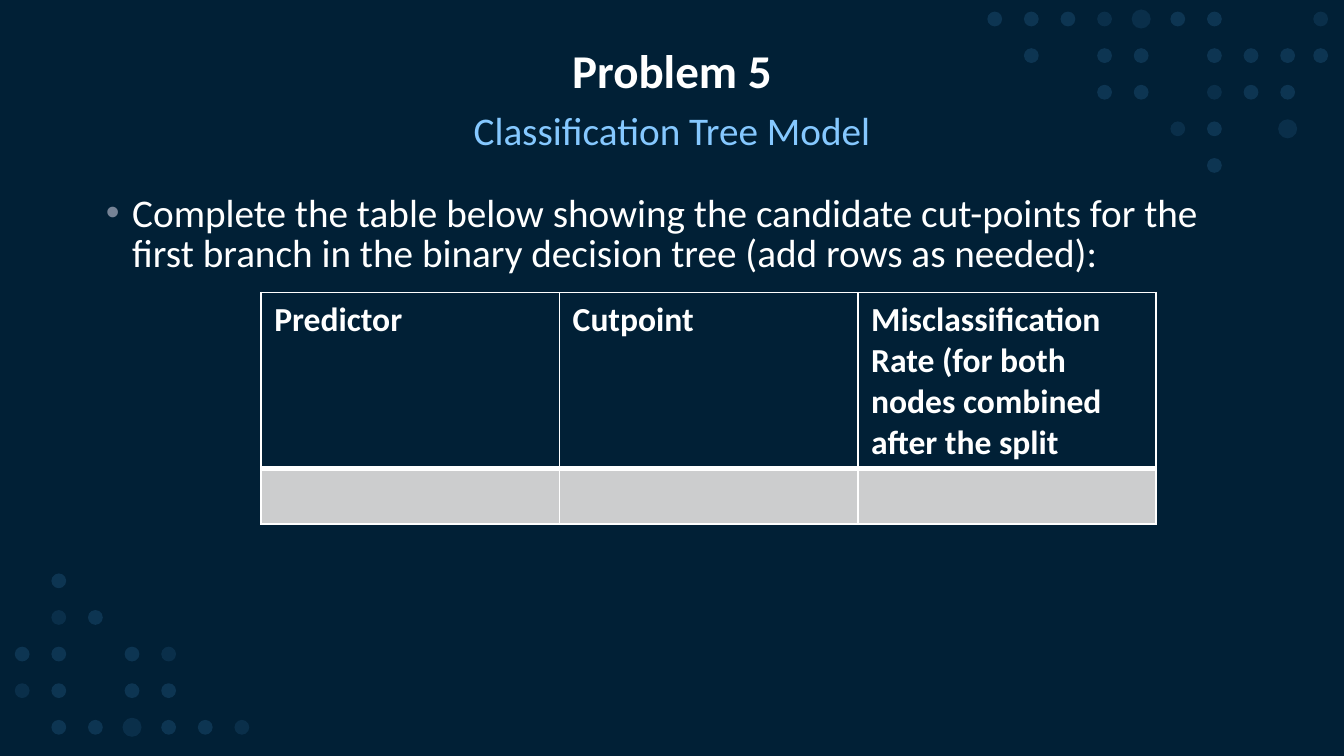
from dataclasses import dataclass

from pptx import Presentation
from pptx.dml.color import RGBColor
from pptx.enum import shapes, text
from pptx.oxml import parse_xml
from pptx.oxml.ns import nsdecls
from pptx.util import Cm, Pt

NAVY = RGBColor(0x01, 0x20, 0x36)
WHITE = RGBColor(0xFF, 0xFF, 0xFF)
SKY = RGBColor(0x85, 0xC8, 0xFF)
DOT_BLUE = RGBColor(0x5C, 0xB5, 0xFF)
BULLET_GREY = RGBColor(0x76, 0x83, 0x96)
ROW_GREY = RGBColor(0xCC, 0xCD, 0xCE)
FONT = "Calibri"
PITCH = 0.692


@dataclass
class DotGrid:
    """Rows of dots; left and top are the centre of the first dot, in cm."""
    left: float
    top: float
    rows: tuple[str, ...]


@dataclass
class Dot:
    diameter: float
    opacity: int


@dataclass
class TextBlock:
    words: str
    top: float
    height: float
    size: float
    color: RGBColor
    line_spacing: float = 0.85
    space_before: float = 8
    bold: bool = False
    centred: bool = True
    anchor: text.MSO_ANCHOR = text.MSO_ANCHOR.TOP


DOTS = {"o": Dot(0.28, 14), ".": Dot(0.28, 10), "O": Dot(0.36, 10)}
GRIDS = (
    DotGrid(18.8, 0.36, ("ooo.Ooo", " o oo ooo", "   oo .oo", "     .o O", "      o")),
    DotGrid(24.96, 0.36, (".", "o")),
    DotGrid(0.42, 10.98, (" o", " .o", "oo o.", ".o oo", " ooOoo.")),
)
TITLE = TextBlock("Problem 5", 0.76, 1.27, 25.2, WHITE, line_spacing=0.9,
                  space_before=0, bold=True, anchor=text.MSO_ANCHOR.MIDDLE)
TASK = TextBlock("Complete the table below showing the candidate cut-points for the "
                 "first branch in the binary decision tree (add rows as needed):",
                 3.58, 10.13, 21, WHITE, centred=False)
SUBTITLE = TextBlock("Classification Tree Model", 2.03, 1.27, 21, SKY)
HEADINGS = ("Predictor", "Cutpoint",
            "Misclassification Rate (for both nodes combined after the split")


def draw_dots(slide, grid: DotGrid) -> None:
    for row, marks in enumerate(grid.rows):
        for column, mark in enumerate(marks):
            if mark == " ":
                continue
            dot = DOTS[mark]
            circle = slide.shapes.add_shape(
                shapes.MSO_SHAPE.OVAL,
                Cm(grid.left + column * PITCH - dot.diameter / 2),
                Cm(grid.top + row * PITCH - dot.diameter / 2),
                Cm(dot.diameter), Cm(dot.diameter))
            circle.shadow.inherit = False
            circle.line.fill.background()
            circle.fill.solid()
            circle.fill.fore_color.rgb = DOT_BLUE
            color = circle.fill._xPr.find(".//{*}srgbClr")
            color.append(parse_xml(
                f'<a:alpha {nsdecls("a")} val="{dot.opacity * 1000}"/>'))


def draw_text(slide, block: TextBlock):
    frame = slide.shapes.add_textbox(
        Cm(1.75), Cm(block.top), Cm(21.9), Cm(block.height)).text_frame
    frame.word_wrap = True
    frame.vertical_anchor = block.anchor
    paragraph = frame.paragraphs[0]
    paragraph.text = block.words
    paragraph.alignment = text.PP_ALIGN.CENTER if block.centred else text.PP_ALIGN.LEFT
    paragraph.line_spacing = block.line_spacing
    paragraph.space_before = Pt(block.space_before)
    style_font(paragraph, block.size, block.color, block.bold)
    return paragraph


def style_font(paragraph, size: float, color: RGBColor, bold: bool) -> None:
    paragraph.font.name = FONT
    paragraph.font.size = Pt(size)
    paragraph.font.bold = bold
    paragraph.font.color.rgb = color


def add_bullet(paragraph) -> None:
    properties = paragraph._p.get_or_add_pPr()
    properties.set("marL", str(Cm(0.5)))
    properties.set("indent", str(-Cm(0.5)))
    bullet = (f'<a:buClr {nsdecls("a")}><a:srgbClr val="{BULLET_GREY}"/></a:buClr>',
              f'<a:buFont {nsdecls("a")} typeface="Arial"/>',
              f'<a:buChar {nsdecls("a")} char="•"/>')
    defaults = properties.find("{*}defRPr")
    for part in bullet:
        if defaults is None:
            properties.append(parse_xml(part))
        else:
            defaults.addprevious(parse_xml(part))


def set_borders(cell, top: float, bottom: float) -> None:
    """Draw white cell borders; widths are in points, the sides are 1 pt."""
    properties = cell._tc.get_or_add_tcPr()
    for position, (side, width) in enumerate(
            (("L", 1), ("R", 1), ("T", top), ("B", bottom))):
        properties.insert(position, parse_xml(
            f'<a:ln{side} {nsdecls("a")} w="{Pt(width)}"><a:solidFill>'
            f'<a:srgbClr val="{WHITE}"/></a:solidFill></a:ln{side}>'))


def draw_cutpoint_table(slide) -> None:
    table = slide.shapes.add_table(
        2, len(HEADINGS), Cm(4.93), Cm(5.53), Cm(16.92), Cm(4.37)).table
    table.rows[0].height = Cm(3.33)
    table.rows[1].height = Cm(1.04)
    for column, heading in enumerate(HEADINGS):
        table.columns[column].width = Cm(5.64)
        head, entry = table.cell(0, column), table.cell(1, column)
        head.text = heading
        style_font(head.text_frame.paragraphs[0], 18, WHITE, True)
        for cell, fill, top, bottom in ((head, NAVY, 1, 3), (entry, ROW_GREY, 3, 1)):
            cell.fill.solid()
            cell.fill.fore_color.rgb = fill
            set_borders(cell, top, bottom)


def main() -> None:
    deck = Presentation()
    deck.slide_width, deck.slide_height = Cm(25.4), Cm(14.29)
    slide = deck.slides.add_slide(deck.slide_layouts[6])
    slide.background.fill.solid()
    slide.background.fill.fore_color.rgb = NAVY
    for grid in GRIDS:
        draw_dots(slide, grid)
    draw_text(slide, TITLE)
    add_bullet(draw_text(slide, TASK))
    draw_text(slide, SUBTITLE)
    draw_cutpoint_table(slide)
    deck.save("out.pptx")


if __name__ == "__main__":
    main()
